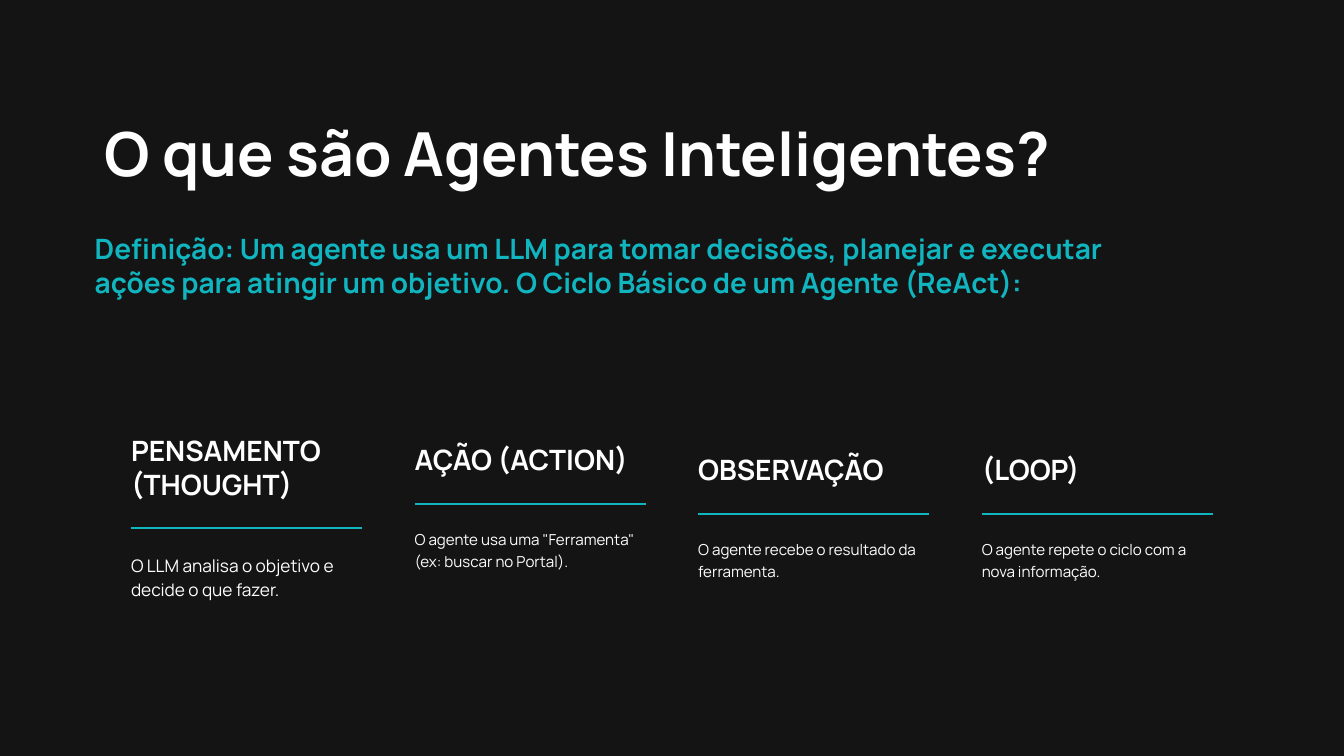
from dataclasses import dataclass

from lxml import etree
from pptx import Presentation
from pptx.dml.color import RGBColor
from pptx.enum import shapes, text
from pptx.oxml.ns import qn
from pptx.util import Inches, Pt

COLORS = {"background": "141414", "accent": "10B5BF", "text": "FFFFFF"}
FONT = "Manrope"
LEFT, WIDTH = 1.41, 16.22
STEP_LEFT, STEP_WIDTH, STEP_PITCH = 1.95, 3.44, 4.22
RULE_GAP, DETAIL_GAP = 0.39, 0.35


@dataclass
class Step:
    heading: str
    detail: str
    top: float
    heading_height: float = 0.52
    detail_height: float = 0.61
    size: float = 16.2
    leading: float = 22.8


STEPS = [
    Step("PENSAMENTO (THOUGHT)", "O LLM analisa o objetivo e decide o que fazer.",
         6.45, heading_height=1.02, detail_height=0.7, size=18.5, leading=25.9),
    Step("AÇÃO (ACTION)", 'O agente usa uma "Ferramenta" (ex: buscar no Portal).',
         6.59, detail_height=0.92),
    Step("OBSERVAÇÃO", "O agente recebe o resultado da ferramenta.", 6.74),
    Step("(LOOP)", "O agente repete o ciclo com a nova informação.", 6.74),
]


def place(sp, left: float, top: float, width: float, height: float) -> None:
    sp.left, sp.top = Inches(left), Inches(top)
    sp.width, sp.height = Inches(width), Inches(height)


def write(sp, content: str, *, size: float, leading: float, color: str = "text",
          bold: bool = False, inset: float = 0) -> None:
    tf = sp.text_frame
    tf.word_wrap = True
    tf.auto_size = text.MSO_AUTO_SIZE.NONE
    tf.vertical_anchor = text.MSO_ANCHOR.TOP
    tf.margin_left = Inches(inset)
    tf.margin_top = tf.margin_right = tf.margin_bottom = 0
    p = tf.paragraphs[0]
    p.alignment = text.PP_ALIGN.LEFT
    p.line_spacing = Pt(leading)
    p.space_before = p.space_after = Pt(0)
    r = p.add_run()
    r.text = content
    r.font.name, r.font.size, r.font.bold = FONT, Pt(size), bold
    r.font.color.rgb = RGBColor.from_string(COLORS[color])


def remove_bullet(p) -> None:
    pPr = p._p.get_or_add_pPr()
    pPr.set("marL", "0")
    pPr.set("indent", "0")
    etree.SubElement(pPr, qn("a:buNone"))


def add_text(slide, box: tuple[float, float, float, float], content: str, **style) -> None:
    sp = slide.shapes.add_textbox(*map(Inches, box))
    write(sp, content, **style)


def add_rule(slide, left: float, top: float, width: float) -> None:
    line = slide.shapes.add_connector(
        shapes.MSO_CONNECTOR.STRAIGHT,
        Inches(left), Inches(top), Inches(left + width), Inches(top))
    line.line.color.rgb = RGBColor.from_string(COLORS["accent"])
    line.line.width = Pt(2)
    etree.SubElement(line._element.spPr, qn("a:effectLst"))


def add_step(slide, step: Step, left: float) -> None:
    rule_top = step.top + step.heading_height + RULE_GAP
    add_text(slide, (left, step.top, STEP_WIDTH, step.heading_height),
             step.heading, size=30, leading=36, bold=True)
    add_rule(slide, left, rule_top, STEP_WIDTH)
    add_text(slide, (left, rule_top + DETAIL_GAP, STEP_WIDTH, step.detail_height),
             step.detail, size=step.size, leading=step.leading)


def main() -> None:
    prs = Presentation()
    prs.slide_width, prs.slide_height = Inches(20), Inches(11.25)
    slide = prs.slides.add_slide(prs.slide_layouts[1])
    fill = slide.background.fill
    fill.solid()
    fill.fore_color.rgb = RGBColor.from_string(COLORS["background"])

    # Title and definition
    title, body = slide.shapes.title, slide.placeholders[1]
    place(title, LEFT, 1.72, WIDTH, 1.14)
    write(title, "O que são Agentes Inteligentes?", size=65, leading=78,
          bold=True, inset=0.15)
    place(body, LEFT, 3.45, WIDTH, 1.02)
    write(body, "Definição: Um agente usa um LLM para tomar decisões, planejar e "
          "executar ações para atingir um objetivo. O Ciclo Básico de um Agente (ReAct):",
          size=30, leading=36, color="accent", bold=True)
    remove_bullet(body.text_frame.paragraphs[0])

    # Steps of the agent cycle
    for i, step in enumerate(STEPS):
        add_step(slide, step, STEP_LEFT + i * STEP_PITCH)

    prs.save("out.pptx")


if __name__ == "__main__":
    main()
